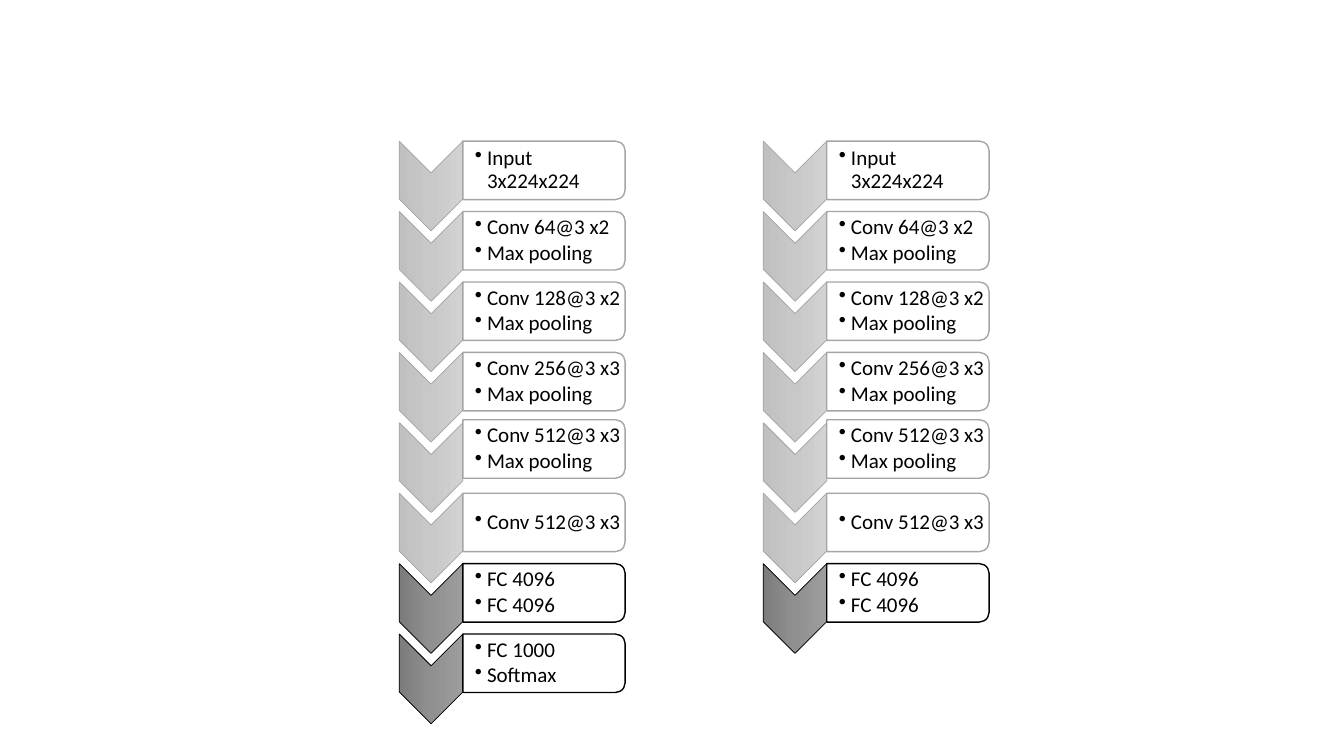
from copy import deepcopy
from dataclasses import dataclass

from lxml.etree import SubElement
from pptx import Presentation
from pptx.dml.color import RGBColor
from pptx.enum.shapes import MSO_SHAPE
from pptx.enum.text import MSO_ANCHOR
from pptx.oxml.ns import qn
from pptx.shapes.autoshape import Shape
from pptx.shapes.shapetree import GroupShapes
from pptx.util import Inches, Pt

COLORS = {
    "text": "000000", "box": "FFFFFF",
    "light_line": "A5A5A5", "dark_line": "000000",
    "light_start": "D2D2D2", "light_mid": "C8C8C8", "light_end": "C0C0C0",
    "dark_start": "9D9D9D", "dark_mid": "909090", "dark_end": "7C7C7C",
}
TOP = 1.4
PITCH = 4.89 / 7
CHEVRON_W, CHEVRON_H = 0.63, 0.89
BOX_W, BOX_H = 1.61, 0.58


@dataclass(frozen=True)
class Layer:
    lines: tuple[str, ...]
    tone: str = "light"
    shift: float = 0


@dataclass(frozen=True)
class Network:
    left: float
    layers: tuple[Layer, ...]


FEATURES = (
    Layer(("Input 3x224x224",)),
    Layer(("Conv 64@3 x2", "Max pooling")),
    Layer(("Conv 128@3 x2", "Max pooling")),
    Layer(("Conv 256@3 x3", "Max pooling")),
    Layer(("Conv 512@3 x3", "Max pooling"), shift=-0.03),
    Layer(("Conv 512@3 x3",)),
    Layer(("FC 4096", "FC 4096"), "dark"),
)
CLASSIFIER = Layer(("FC 1000", "Softmax"), "dark")
NETWORKS = (Network(3.96, FEATURES + (CLASSIFIER,)), Network(7.57, FEATURES))


def color(name: str) -> RGBColor:
    return RGBColor.from_string(COLORS[name])


def add_turned(shapes: GroupShapes, kind: MSO_SHAPE, left: float, top: float,
               width: float, height: float, tone: str, line_pt: float) -> Shape:
    """Add a shape turned by 90 degrees that covers the given area."""
    sp = shapes.add_shape(kind, Inches(left + (width - height) / 2),
                          Inches(top + (height - width) / 2),
                          Inches(height), Inches(width))
    sp.rotation = 90
    sp.shadow.inherit = False
    sp.line.color.rgb = color(f"{tone}_line")
    sp.line.width = Pt(line_pt)
    return sp


def fill_gradient(sp: Shape, tone: str) -> None:
    sp.fill.gradient()
    sp.fill.gradient_angle = 270
    gs_list = sp._element.spPr.find(qn("a:gradFill")).find(qn("a:gsLst"))
    gs_list.insert(1, deepcopy(gs_list[0]))
    parts = ("start", "mid", "end")
    for i, (stop, part) in enumerate(zip(sp.fill.gradient_stops, parts)):
        stop.position = i / 2
        stop.color.rgb = color(f"{tone}_{part}")


def add_bullets(shapes: GroupShapes, left: float, top: float,
                lines: tuple[str, ...]) -> None:
    tf = shapes.add_textbox(Inches(left), Inches(top),
                            Inches(1.58), Inches(0.52)).text_frame
    tf.word_wrap = True
    tf.vertical_anchor = MSO_ANCHOR.MIDDLE
    tf.margin_left = Inches(0.12)
    tf.margin_top = tf.margin_right = tf.margin_bottom = Inches(0.01)
    tf.text = "\n".join(lines)
    for p in tf.paragraphs:
        p.level = 1
        p.line_spacing = 0.9
        p_pr = p._p.get_or_add_pPr()
        p_pr.set("marL", str(Inches(0.12)))
        p_pr.set("indent", str(Inches(-0.12)))
        SubElement(SubElement(p_pr, qn("a:spcAft")), qn("a:spcPct"), val="15000")
        SubElement(p_pr, qn("a:buChar"), char="•")
        font = p.runs[0].font
        font.name = "Calibri"
        font.size = Pt(15)
        font.color.rgb = color("text")


def add_network(shapes: GroupShapes, network: Network) -> None:
    box_left = network.left + CHEVRON_W
    for i, layer in enumerate(network.layers):
        top = TOP + i * PITCH
        box_top = top + layer.shift
        chevron = add_turned(shapes, MSO_SHAPE.CHEVRON, network.left, top,
                             CHEVRON_W, CHEVRON_H, layer.tone, 0.5)
        fill_gradient(chevron, layer.tone)
        box = add_turned(shapes, MSO_SHAPE.ROUND_2_SAME_RECTANGLE, box_left,
                         box_top, BOX_W, BOX_H, layer.tone, 1)
        box.fill.solid()
        box.fill.fore_color.rgb = color("box")
        add_bullets(shapes, box_left, box_top + 0.03, layer.lines)


def main() -> None:
    prs = Presentation()
    prs.slide_width, prs.slide_height = Inches(13.33), Inches(7.5)
    s = prs.slides.add_slide(prs.slide_layouts[6])
    for network in NETWORKS:
        add_network(s.shapes.add_group_shape().shapes, network)
    prs.save("out.pptx")


if __name__ == "__main__":
    main()
